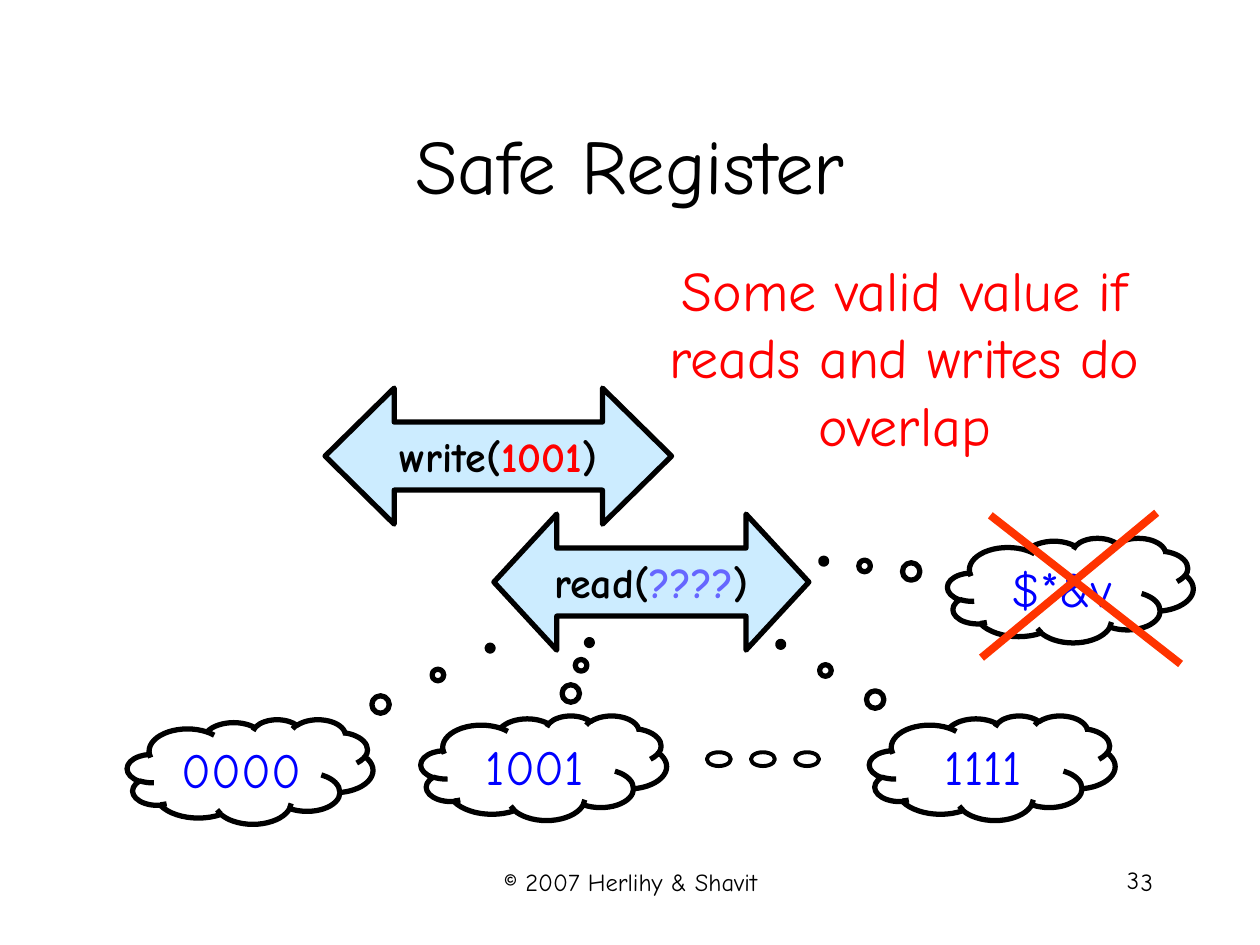
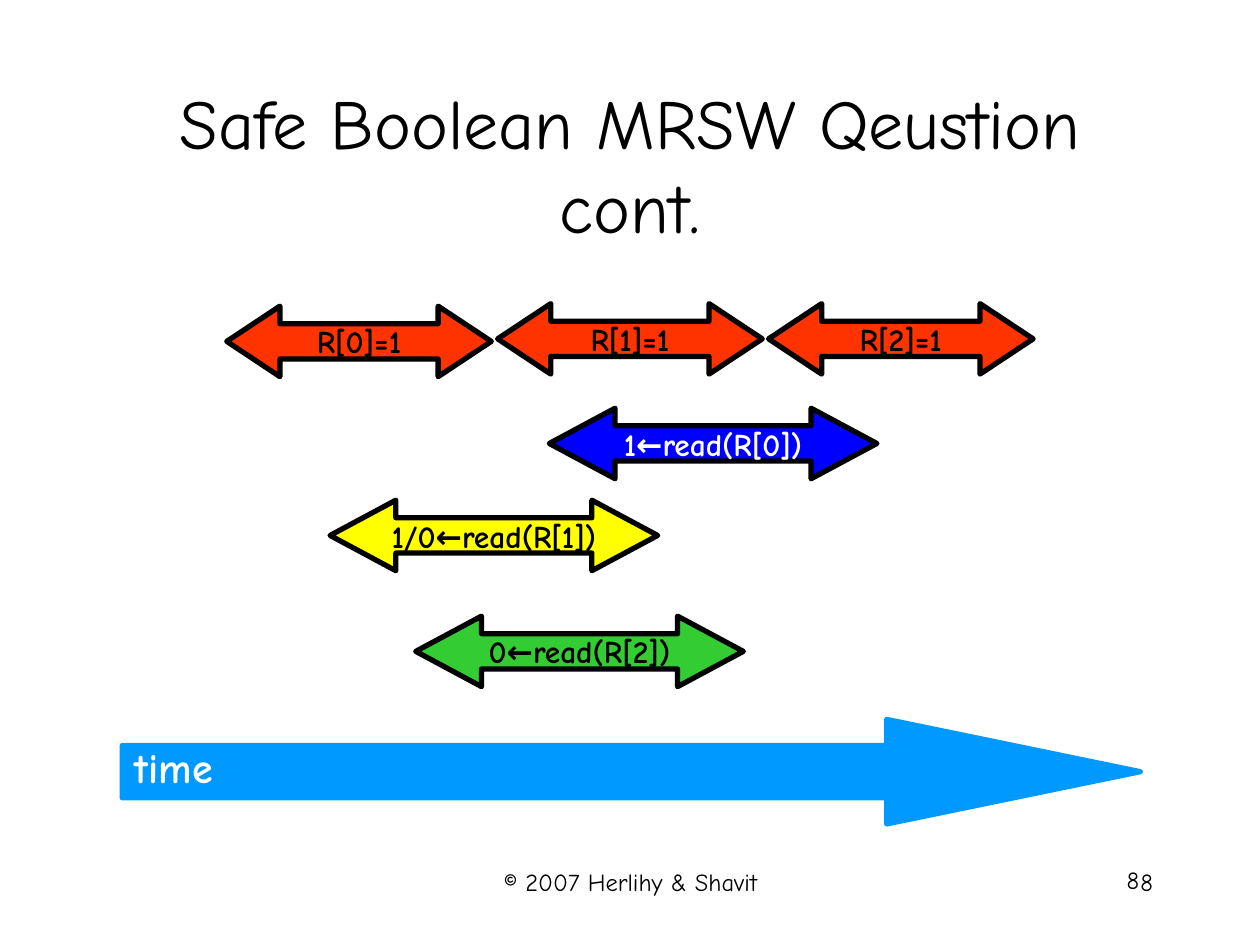
from lxml import etree
from pptx import Presentation
from pptx.dml.color import RGBColor
from pptx.enum.shapes import MSO_CONNECTOR, MSO_SHAPE
from pptx.enum.text import MSO_ANCHOR, PP_ALIGN
from pptx.oxml.ns import qn
from pptx.util import Inches, Pt

SPAN, ARROW = MSO_SHAPE.LEFT_RIGHT_ARROW, MSO_SHAPE.RIGHT_ARROW
CLOUD, OVAL = MSO_SHAPE.CLOUD_CALLOUT, MSO_SHAPE.OVAL
STRAIGHT = MSO_CONNECTOR.STRAIGHT
TOP, MIDDLE = MSO_ANCHOR.TOP, MSO_ANCHOR.MIDDLE
LEFT, CENTER, RIGHT = PP_ALIGN.LEFT, PP_ALIGN.CENTER, PP_ALIGN.RIGHT

# Shared style
FONT = "Comic Neue"
BLACK, WHITE, RED, BLUE = "000000", "FFFFFF", "FF0000", "0000FF"
SKY, VIOLET, ORANGE, TIME = "CCECFF", "6666FF", "FF3300", "0099FF"
YELLOW, GREEN = "FFFF00", "33CC33"
FOOTER = "© 2007 Herlihy & Shavit"

# Safe register: box, head length, coloured text pieces
CALLS = [
    ((2.58, 3.08, 2.75, 1.08), 0.508,
     [("write(", BLACK), ("1001", RED), (")", BLACK)]),
    ((3.92, 4.08, 2.5, 1.08), 0.462,
     [("read(", BLACK), ("????", VIOLET), (")", BLACK)]),
]
CLAIM = "Some valid value if reads and writes do overlap"
# Value, left, top, tail of the thought bubble
VALUES = [
    ("0000", 1.01, 5.71, (0.977, -1.182)),
    ("1001", 3.34, 5.68, (0.186, -1.199)),
    ("1111", 6.9, 5.68, (-0.861, -1.182)),
    ("$*&v", 7.52, 4.27, (-1.004, -0.278)),
]
CROSS = [(7.79, 5.22, 9.18, 4.07), (9.37, 5.27, 7.86, 4.09)]

# Boolean question: text, left, top, fill, text colour
WRITES = [("R[0]=1", 2.43), ("R[1]=1", 2.41), ("R[2]=1", 2.41)]
READS = [
    ("1/0←read(R[1])", 2.62, 3.97, YELLOW, BLACK),
    ("1←read(R[0])", 4.36, 3.24, BLUE, WHITE),
    ("0←read(R[2])", 3.3, 4.89, GREEN, BLACK),
]


def color(code):
    return RGBColor.from_string(code)


def write(shape, parts, size, align=CENTER, anchor=MIDDLE, bold=False,
          wrap=True):
    """Put (text, colour) parts into one paragraph."""
    frame = shape.text_frame
    frame.word_wrap, frame.vertical_anchor = wrap, anchor
    para = frame.paragraphs[0]
    para.alignment = align
    for text, tint in parts:
        run = para.add_run()
        run.text = text
        font = run.font
        font.name, font.size, font.bold = FONT, Pt(size), bold
        font.color.rgb = color(tint)
    return para


def label(slide, box, text, size, tint=BLACK, **style):
    shape = slide.shapes.add_textbox(*map(Inches, box))
    write(shape, [(text, tint)], size, **style)


def draw(slide, kind, box, fill=None, line=BLACK, width=3, adjust=()):
    shape = slide.shapes.add_shape(kind, *map(Inches, box))
    shape.shadow.inherit = False
    if fill:
        shape.fill.solid()
        shape.fill.fore_color.rgb = color(fill)
    else:
        shape.fill.background()
    shape.line.color.rgb = color(line)
    shape.line.width = Pt(width)
    for i, value in enumerate(adjust):
        shape.adjustments[i] = value
    return shape


def span(slide, box, head, fill, parts, size):
    shape = draw(slide, SPAN, box, fill, adjust=(0.5, head))
    write(shape, parts, size, bold=True, wrap=False)


def stroke(slide, ends):
    line = slide.shapes.add_connector(STRAIGHT, *map(Inches, ends))
    line.line.color.rgb = color(ORANGE)
    line.line.width = Pt(4.5)
    etree.SubElement(line._element.spPr, qn("a:effectLst"))


def start(deck, title, size, digit):
    """Add a slide with its title, footer and two-digit number."""
    slide = deck.slides.add_slide(deck.slide_layouts[6])
    for left, top in [(7.06, 6.82), (7.17, 6.83)]:
        label(slide, (left, top, 2.08, 0.5), digit, 14, align=RIGHT, anchor=TOP)
    label(slide, (3.42, 6.83, 3.17, 0.5), FOOTER, 14, anchor=TOP)
    label(slide, (0.75, 0.67, 8.5, 1.25), title, size)
    return slide


def register(deck):
    slide = start(deck, "Safe Register", 44, "3")
    for box, head, parts in CALLS:
        span(slide, box, head, SKY, parts, 24)
    label(slide, (4.97, 1.98, 4.42, 1.7), CLAIM, 32, RED, anchor=TOP)
    # Possible values
    for text, left, top, tail in VALUES:
        cloud = draw(slide, CLOUD, (left, top, 1.95, 0.83), WHITE, adjust=tail)
        write(cloud, [(text, BLUE)], 28)
    for ends in CROSS:
        stroke(slide, ends)
    # Dots between the values
    for i in range(3):
        draw(slide, OVAL, (5.61 + 0.35 * i, 5.97, 0.19, 0.11), width=2.25)


def question(deck):
    slide = start(deck, "Safe Boolean MRSW Qeustion cont.", 40, "8")
    # Time axis
    axis = draw(slide, ARROW, (0.97, 5.71, 8.08, 0.83), TIME, TIME,
                adjust=(0.5, 2.425))
    para = write(axis, [("time", WHITE)], 24, LEFT, bold=True, wrap=False)
    para.line_spacing, para.space_before = 0.8, Pt(4.8)
    # Writes follow each other, reads overlap them
    for i, (text, top) in enumerate(WRITES):
        span(slide, (1.8 + 2.15 * i, top, 2.1, 0.56), 0.754, ORANGE,
             [(text, BLACK)], 18)
    for text, left, top, fill, tint in READS:
        span(slide, (left, top, 2.6, 0.56), 0.933, fill, [(text, tint)], 18)


def main():
    deck = Presentation()
    deck.slide_width, deck.slide_height = Inches(10), Inches(7.5)
    register(deck)
    question(deck)
    deck.save("out.pptx")


if __name__ == "__main__":
    main()
